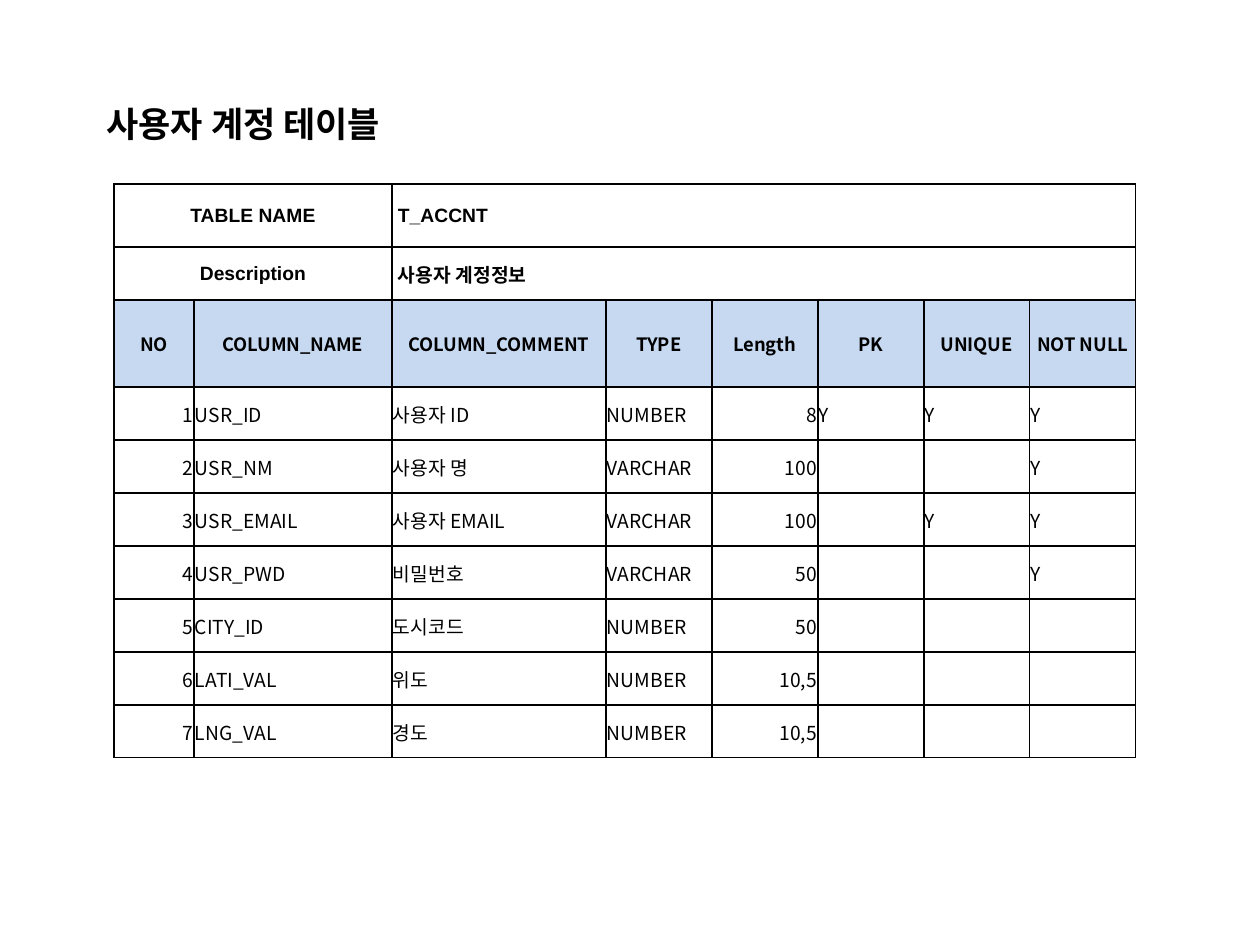
import pptx
import pptx.util
import pptx.dml.color
import pptx.enum.text
import pptx.oxml
import pptx.oxml.ns
import lxml.etree

PX = 914400 // 126
BLACK = pptx.dml.color.RGBColor(0, 0, 0)
WHITE = pptx.dml.color.RGBColor(255, 255, 255)
BLUE = pptx.dml.color.RGBColor(0xC6, 0xD9, 0xF1)
NOTO = "Noto Sans CJK KR"
LEFT, MID, RIGHT = (pptx.enum.text.PP_ALIGN.LEFT, pptx.enum.text.PP_ALIGN.CENTER,
                    pptx.enum.text.PP_ALIGN.RIGHT)


def write(frame, text, size=11, bold=False, font=NOTO, align=LEFT):
    para = frame.paragraphs[0]
    para.alignment = align
    run = para.add_run()
    run.text = text
    run.font.size = pptx.util.Pt(size)
    run.font.bold = bold
    run.font.name = font
    run.font.color.rgb = BLACK
    east = lxml.etree.SubElement(run.font._element, pptx.oxml.ns.qn("a:ea"))
    east.set("typeface", NOTO)


def style(cell, fill):
    cell.vertical_anchor = pptx.enum.text.MSO_ANCHOR.MIDDLE
    cell.margin_left = cell.margin_right = cell.margin_top = PX
    cell.margin_bottom = 0
    props = cell._tc.get_or_add_tcPr()
    for side in ("lnL", "lnR", "lnT", "lnB"):
        props.append(pptx.oxml.parse_xml(
            f'<a:{side} {pptx.oxml.ns.nsdecls("a")} w="12700"><a:solidFill>'
            f'<a:srgbClr val="{BLACK}"/></a:solidFill></a:{side}>'))
    cell.fill.solid()
    cell.fill.fore_color.rgb = fill


deck = pptx.Presentation()
deck.slide_width, deck.slide_height = 1260 * PX, 945 * PX
slide = deck.slides.add_slide(deck.slide_layouts[6])

# Title
title = slide.shapes.add_textbox(94 * PX, 96 * PX, 333 * PX, 55 * PX).text_frame
title.word_wrap = False
title.auto_size = pptx.enum.text.MSO_AUTO_SIZE.SHAPE_TO_FIT_TEXT
write(title, "사용자 계정 테이블", size=20, bold=True)

# Table grid
top = [("TABLE NAME", "T_ACCNT"), ("Description", "사용자 계정정보")]
head = ["NO", "COLUMN_NAME", "COLUMN_COMMENT", "TYPE", "Length", "PK", "UNIQUE", "NOT NULL"]
body = [
    ("USR_ID", "사용자 ID", "NUMBER", "8", "Y", "Y", "Y"),
    ("USR_NM", "사용자 명", "VARCHAR", "100", "", "", "Y"),
    ("USR_EMAIL", "사용자 EMAIL", "VARCHAR", "100", "", "Y", "Y"),
    ("USR_PWD", "비밀번호", "VARCHAR", "50", "", "", "Y"),
    ("CITY_ID", "도시코드", "NUMBER", "50", "", "", ""),
    ("LATI_VAL", "위도", "NUMBER", "10,5", "", "", ""),
    ("LNG_VAL", "경도", "NUMBER", "10,5", "", "", ""),
]
wide = [80, 198, 214] + [106] * 5
high = [63, 53, 87] + [53] * len(body)
grid = slide.shapes.add_table(len(high), len(wide), 114 * PX, 184 * PX,
                              sum(wide) * PX, sum(high) * PX).table
grid.first_row = grid.horz_banding = False
for col, size in zip(grid.columns, wide):
    col.width = size * PX
for row, size in zip(grid.rows, high):
    row.height = size * PX
for row in range(len(high)):
    for col in range(len(wide)):
        style(grid.cell(row, col), BLUE if row == len(top) else WHITE)

# Table name and description
for row, (label, value) in enumerate(top):
    name, note = grid.cell(row, 0), grid.cell(row, 2)
    name.merge(grid.cell(row, 1))
    note.merge(grid.cell(row, len(wide) - 1))
    note.margin_left = 6 * PX
    write(name.text_frame, label, bold=True, font="Arial", align=MID)
    write(note.text_frame, value, bold=True, font="Arial")

# Column heads
for col, label in enumerate(head):
    write(grid.cell(len(top), col).text_frame, label, size=10.5, bold=True, align=MID)

# Numbered fields
for num, field in enumerate(body, 1):
    for col, text in enumerate((str(num), *field)):
        if text:
            write(grid.cell(len(top) + num, col).text_frame, text,
                  align=RIGHT if head[col] in ("NO", "Length") else LEFT)

deck.save("out.pptx")
